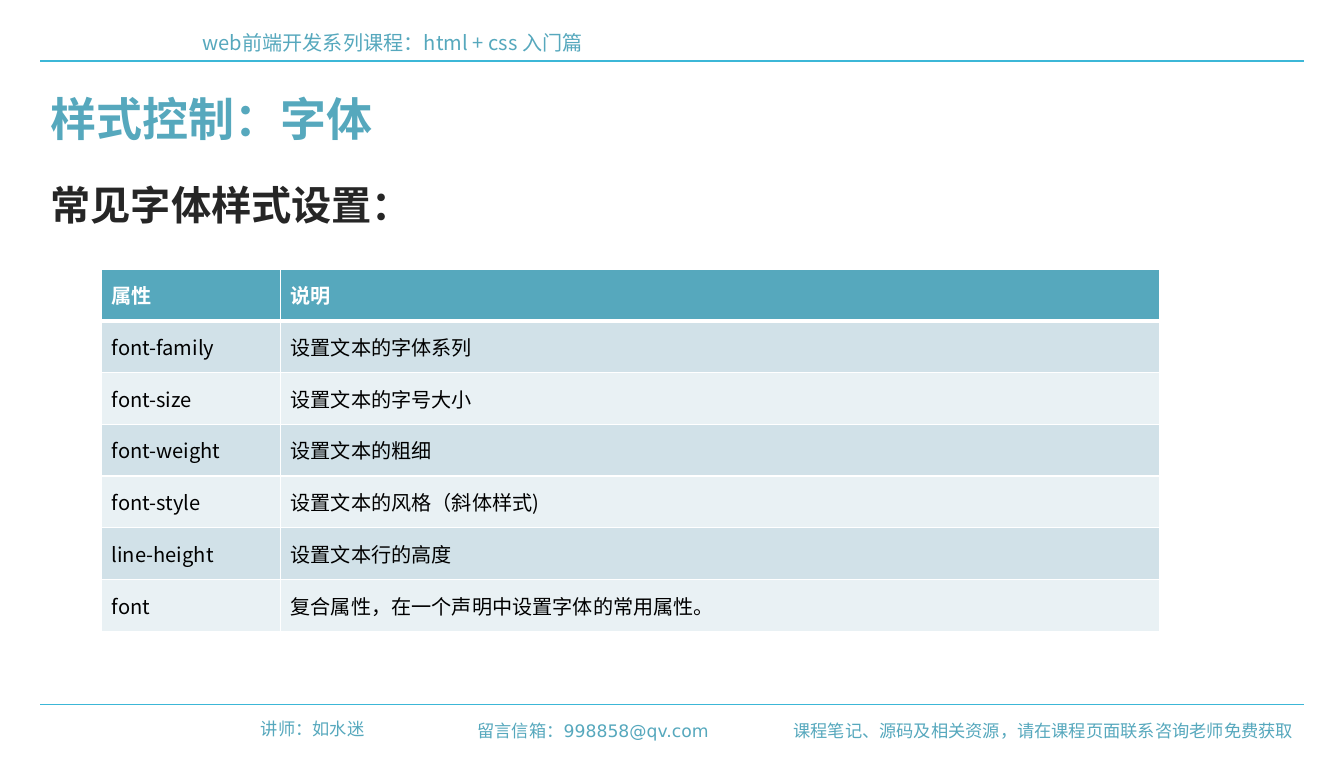
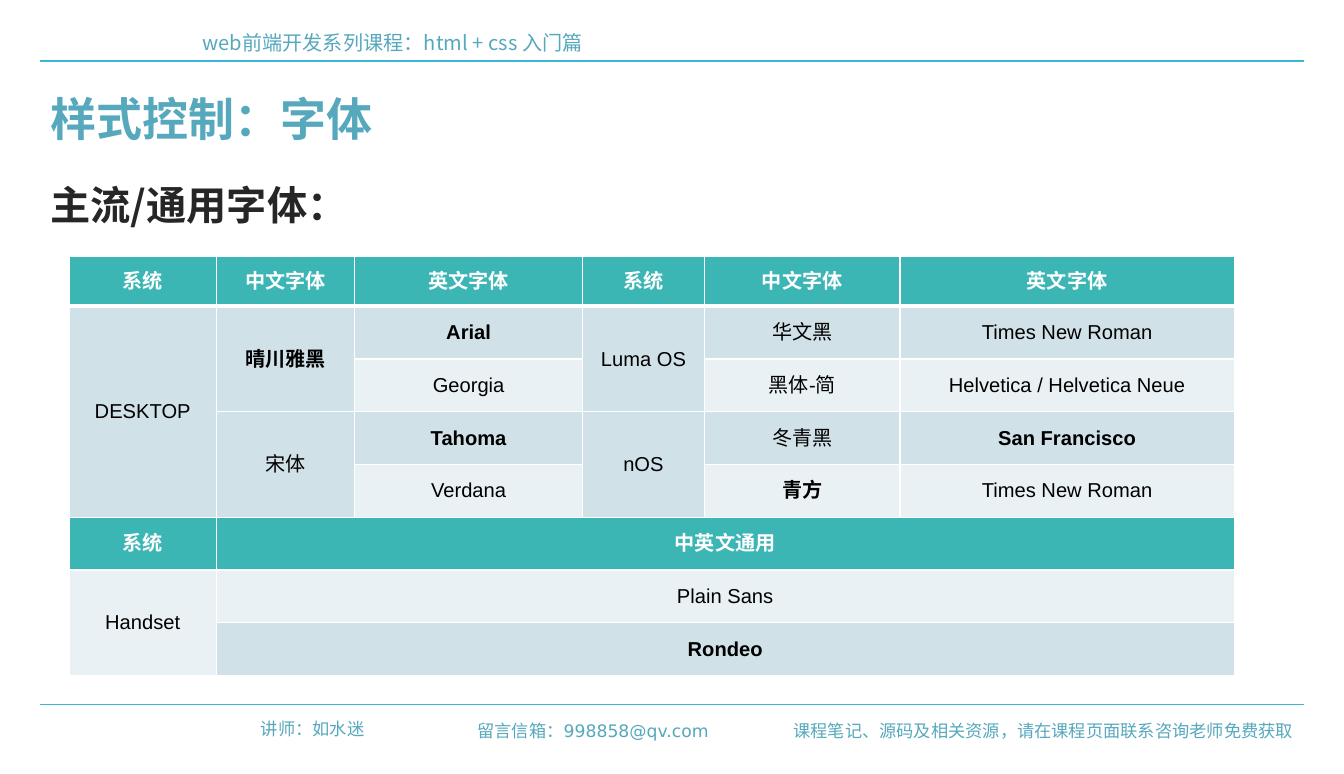
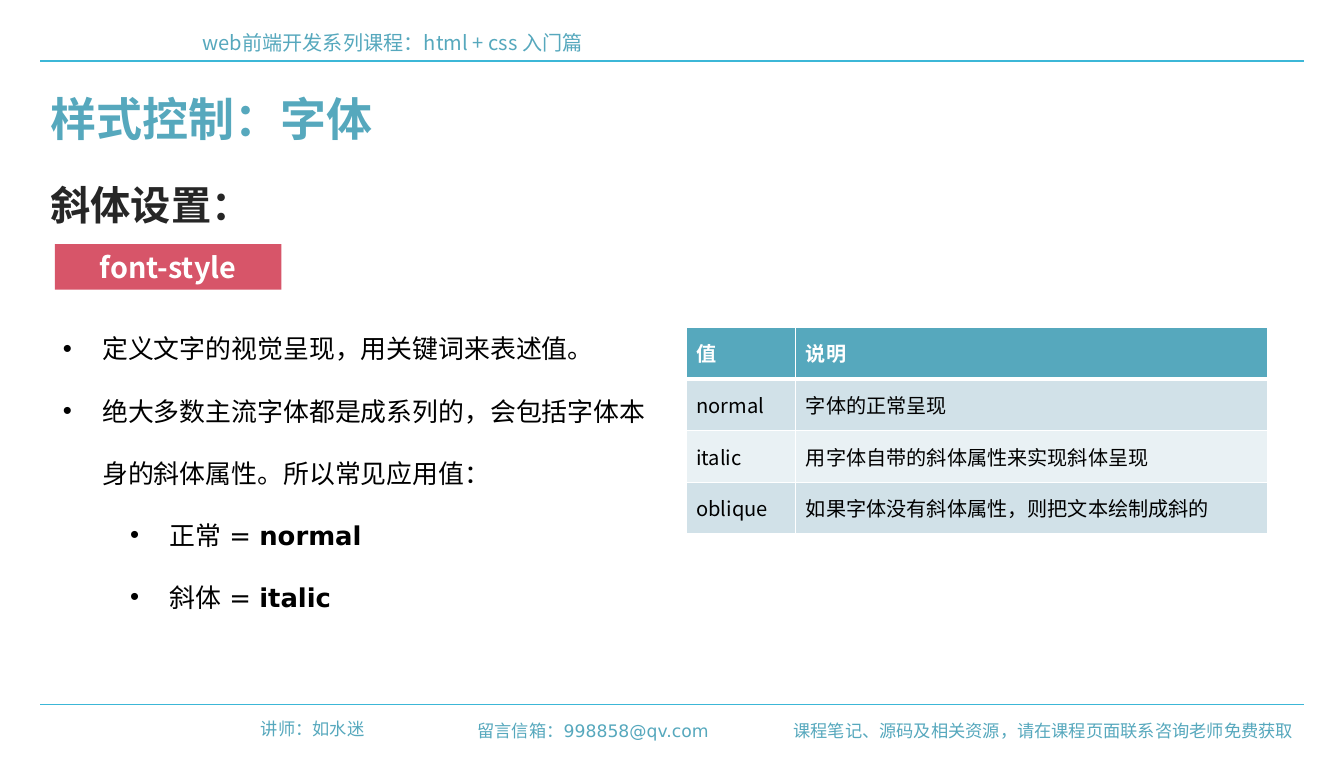
"""Build three course slides on CSS font styles."""
import dataclasses

import lxml.etree
import pptx
import pptx.dml.color
import pptx.enum.shapes
import pptx.enum.text
import pptx.oxml.ns
import pptx.util

Inches = pptx.util.Inches
Pt = pptx.util.Pt
qn = pptx.oxml.ns.qn
ALIGN = pptx.enum.text.PP_ALIGN
ANCHOR = pptx.enum.text.MSO_ANCHOR


@dataclasses.dataclass(frozen=True)
class Theme:
    brand: str = "56A8BD"
    rule: str = "3CB7D7"
    teal: str = "3CB5B5"
    accent: str = "D75569"
    dark: str = "262626"
    black: str = "000000"
    white: str = "FFFFFF"
    band_odd: str = "D1E1E8"
    band_even: str = "E9F1F4"
    cjk: str = "Noto Sans CJK SC"
    sans: str = "DejaVu Sans"
    latin: str = "Arial"
    title: int = 32
    subtitle: int = 28
    chip: int = 20
    body: int = 18
    small: int = 14
    footer: int = 12


def rgb(color):
    return pptx.dml.color.RGBColor.from_string(color)


class Deck:
    def __init__(self, theme):
        self.t = theme
        self.prs = pptx.Presentation()
        self.prs.slide_width = Inches(12.99)
        self.prs.slide_height = Inches(7.48)
        self.s = None

    def slide(self, title, subtitle):
        t = self.t
        self.s = self.prs.slides.add_slide(self.prs.slide_layouts[6])
        for y in (0.59, 6.81):
            self.line(0.39, 12.6, y)
        self.text((1.86, 0.24, 10.51, 0.34), "web前端开发系列课程：html + css 入门篇",
                  t.small, t.cjk, t.brand)
        for box, text in (
            ((2.24, 6.89, 1.38, 0.3), "讲师：如水迷"),
            ((4.29, 6.91, 2.66, 0.3), "留言信箱：998858@qv.com"),
            ((7.52, 6.91, 5.08, 0.3), "课程笔记、源码及相关资源，请在课程页面联系咨询老师免费获取"),
        ):
            self.text(box, text, t.footer, t.sans, t.brand, align=ALIGN.RIGHT)
        self.text((0.39, 0.83, 12.2, 0.64), title, t.title, t.sans, t.brand, bold=True)
        self.text((0.39, 1.69, 6.65, 0.57), subtitle, t.subtitle, t.cjk, t.dark, bold=True)

    def style(self, r, size, font, color, bold=False):
        r.font.size = Pt(size)
        r.font.name = font
        r.font.bold = bold
        r.font.color.rgb = rgb(color)
        ea = lxml.etree.Element(qn("a:ea"), typeface=font)
        r.font._element.find(qn("a:latin")).addnext(ea)

    def fill_text(self, tf, text, size, font, color, bold=False, align=ALIGN.LEFT):
        tf.text = text
        p = tf.paragraphs[0]
        p.alignment = align
        self.style(p.runs[0], size, font, color, bold)

    def line(self, x1, x2, y):
        c = self.s.shapes.add_connector(pptx.enum.shapes.MSO_CONNECTOR.STRAIGHT,
                                        Inches(x1), Inches(y), Inches(x2), Inches(y))
        c.line.color.rgb = rgb(self.t.rule)
        c.line.width = Pt(0.75)
        lxml.etree.SubElement(c._element.spPr, qn("a:effectLst"))

    def text(self, box, text, size, font, color, bold=False, align=ALIGN.LEFT):
        tf = self.s.shapes.add_textbox(*map(Inches, box)).text_frame
        tf.word_wrap = True
        self.fill_text(tf, text, size, font, color, bold, align)

    def chip(self, box, text):
        t = self.t
        sp = self.s.shapes.add_shape(pptx.enum.shapes.MSO_SHAPE.RECTANGLE, *map(Inches, box))
        sp.shadow.inherit = False
        sp.fill.solid()
        sp.fill.fore_color.rgb = rgb(t.accent)
        sp.line.fill.background()
        tf = sp.text_frame
        tf.vertical_anchor = ANCHOR.MIDDLE
        self.fill_text(tf, text, t.chip, t.cjk, t.white, True, ALIGN.CENTER)

    def bullets(self, box, items):
        t = self.t
        tf = self.s.shapes.add_textbox(*map(Inches, box)).text_frame
        tf.word_wrap = True
        for i, (level, text, strong) in enumerate(items):
            p = tf.paragraphs[0] if i == 0 else tf.add_paragraph()
            p.text = text
            p.level = level
            p.line_spacing = 2.0
            self.style(p.runs[0], t.body, t.sans, t.black)
            if strong:
                r = p.add_run()
                r.text = strong
                self.style(r, t.body, t.sans, t.black, True)
            pPr = p._p.get_or_add_pPr()
            pPr.set("marL", str(Inches((0.38, 1.03)[level])))
            pPr.set("indent", str(Inches(-0.38)))
            lxml.etree.SubElement(pPr, qn("a:buFont"), typeface=t.latin)
            lxml.etree.SubElement(pPr, qn("a:buChar"), char="•")

    def borders(self, cell, bottom):
        tcPr = cell._tc.get_or_add_tcPr()
        for side, width in (("L", 1), ("R", 1), ("T", 1), ("B", bottom)):
            ln = lxml.etree.SubElement(tcPr, qn("a:ln" + side), w=str(Pt(width)))
            solid = lxml.etree.SubElement(ln, qn("a:solidFill"))
            lxml.etree.SubElement(solid, qn("a:srgbClr"), val=self.t.white)

    def table(self, left, top, cols, heights, rows, font, head, heads=(0,),
              bold=(), spans=(), align=ALIGN.LEFT):
        t = self.t
        frame = self.s.shapes.add_table(len(rows), len(cols), Inches(left), Inches(top),
                                        Inches(sum(cols)), Inches(sum(heights)))
        tbl = frame.table
        tbl.horz_banding = False
        tbl.first_row = False
        for col, width in zip(tbl.columns, cols):
            col.width = Inches(width)
        for row, height in zip(tbl.rows, heights):
            row.height = Inches(height)
        for i, row in enumerate(rows):
            is_head = i in heads
            color = head if is_head else (t.band_even, t.band_odd)[i % 2]
            for j, text in enumerate(row):
                cell = tbl.cell(i, j)
                self.borders(cell, 3 if i == 0 else 1)
                cell.fill.solid()
                cell.fill.fore_color.rgb = rgb(color)
                cell.vertical_anchor = ANCHOR.MIDDLE
                if text:
                    self.fill_text(cell.text_frame, text, t.small, font,
                                   t.white if is_head else t.black,
                                   is_head or text in bold, align)
        for i, j, down, across in spans:
            tbl.cell(i, j).merge(tbl.cell(i + down - 1, j + across - 1))


def main():
    t = Theme()
    d = Deck(t)
    title = "样式控制：字体"

    d.slide(title, "常见字体样式设置：")
    properties = [
        ("属性", "说明"),
        ("font-family", "设置文本的字体系列"),
        ("font-size", "设置文本的字号大小"),
        ("font-weight", "设置文本的粗细"),
        ("font-style", "设置文本的风格（斜体样式)"),
        ("line-height", "设置文本行的高度"),
        ("font", "复合属性，在一个声明中设置字体的常用属性。"),
    ]
    d.table(0.98, 2.6, (1.73, 8.5), [0.5] * 7, properties, t.cjk, t.brand)

    d.slide(title, "主流/通用字体：")
    systems = [
        ("系统", "中文字体", "英文字体") * 2,
        ("DESKTOP", "晴川雅黑", "Arial", "Luma OS", "华文黑", "Times New Roman"),
        ("", "", "Georgia", "", "黑体-简", "Helvetica / Helvetica Neue"),
        ("", "宋体", "Tahoma", "nOS", "冬青黑", "San Francisco"),
        ("", "", "Verdana", "", "青方", "Times New Roman"),
        ("系统", "中英文通用", "", "", "", ""),
        ("Handset", "Plain Sans", "", "", "", ""),
        ("", "Rondeo", "", "", "", ""),
    ]
    d.table(0.67, 2.48, (1.42, 1.34, 2.2, 1.18, 1.89, 3.23), [0.48] + [0.51] * 7,
            systems, t.latin, t.teal, heads=(0, 5),
            bold=("晴川雅黑", "Arial", "Tahoma", "San Francisco", "青方", "Rondeo"),
            spans=((1, 0, 4, 1), (1, 1, 2, 1), (1, 3, 2, 1), (3, 1, 2, 1), (3, 3, 2, 1),
                   (5, 1, 1, 5), (6, 0, 2, 1), (6, 1, 1, 5), (7, 1, 1, 5)),
            align=ALIGN.CENTER)

    d.slide(title, "斜体设置：")
    d.bullets((0.51, 2.87, 5.91, 3.13), [
        (0, "定义文字的视觉呈现，用关键词来表述值。", ""),
        (0, "绝大多数主流字体都是成系列的，会包括字体本身的斜体属性。所以常见应用值：", ""),
        (1, "正常 = ", "normal"),
        (1, "斜体 = ", "italic"),
    ])
    d.chip((0.53, 2.36, 2.19, 0.44), "font-style")
    values = [
        ("值", "说明"),
        ("normal", "字体的正常呈现"),
        ("italic", "用字体自带的斜体属性来实现斜体呈现"),
        ("oblique", "如果字体没有斜体属性，则把文本绘制成斜的"),
    ]
    d.table(6.63, 3.16, (1.06, 4.56), [0.5] * 4, values, t.cjk, t.brand)

    d.prs.save("out.pptx")


if __name__ == "__main__":
    main()
